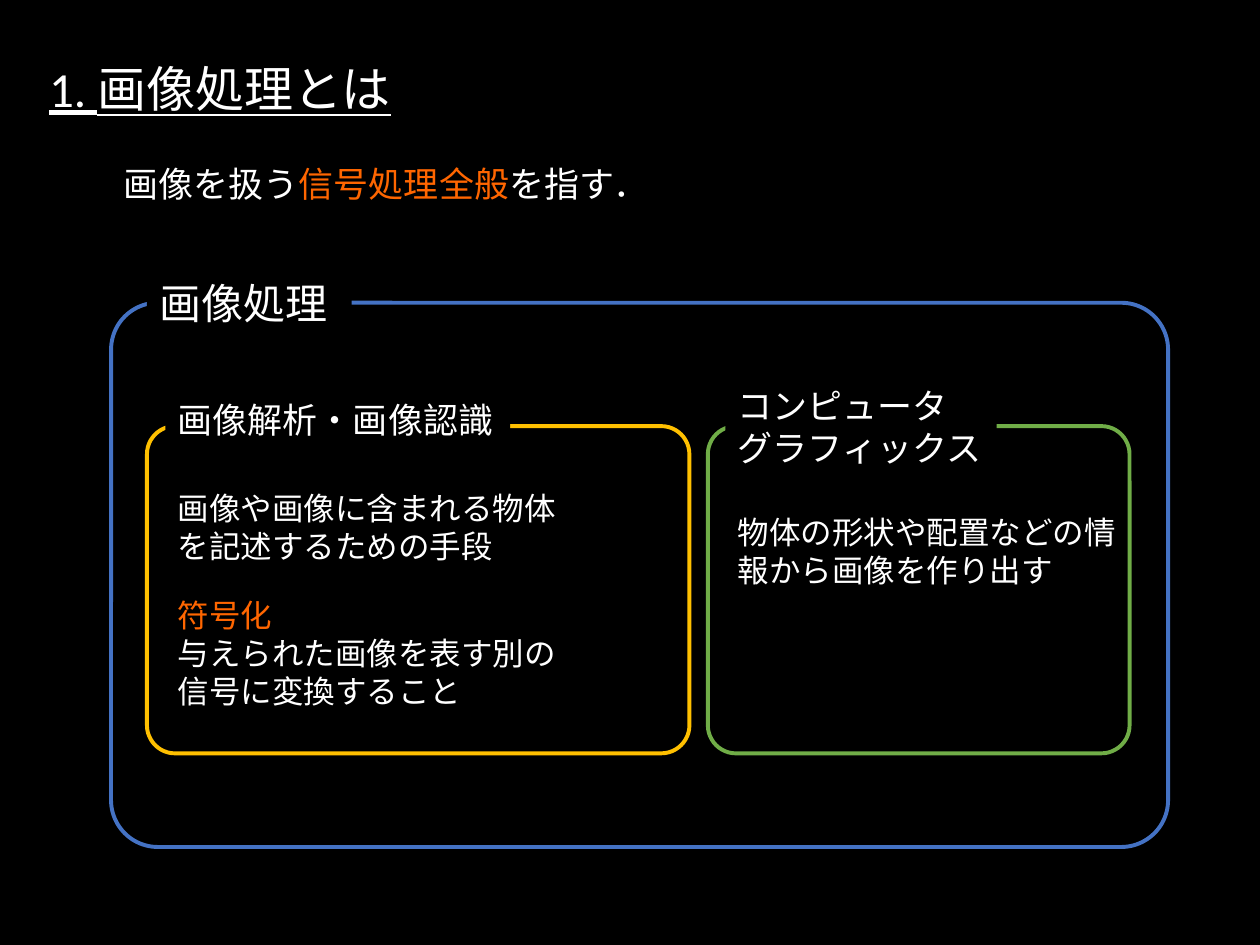
from dataclasses import dataclass

from pptx import Presentation
from pptx import util as u
from pptx.dml.color import RGBColor
from pptx.enum import shapes, text


@dataclass(frozen=True)
class Theme:
    font: str = "Calibri"
    back: str = "000000"
    ink: str = "FFFFFF"
    accent: str = "FF6600"
    blue: str = "4472C4"
    gold: str = "FFC000"
    green: str = "70AD47"
    title: int = 28
    head: int = 24
    lead: int = 20
    body: int = 18
    line: float = 2.25
    curve: float = 0.086


def rgb(code):
    return RGBColor.from_string(code)


def write(para, words, font, size, color, under=None):
    run = para.add_run()
    run.text = words
    run.font.name = font
    run.font.size = u.Pt(size)
    run.font.color.rgb = rgb(color)
    run.font.underline = under


class Deck:
    def __init__(self, theme):
        self.theme = theme
        self.prs = Presentation()
        self.prs.slide_width, self.prs.slide_height = u.Pt(720), u.Pt(540)
        self.slide = self.prs.slides.add_slide(self.prs.slide_layouts[6])
        fill = self.slide.background.fill
        fill.solid()
        fill.fore_color.rgb = rgb(theme.back)

    def shape(self, kind, box):
        item = self.slide.shapes.add_shape(kind, *map(u.Pt, box))
        item.shadow.inherit = False
        return item

    def fill_text(self, item, paras, size, under=None):
        frame = item.text_frame
        frame.word_wrap = True
        frame.auto_size = text.MSO_AUTO_SIZE.SHAPE_TO_FIT_TEXT
        frame.vertical_anchor = text.MSO_ANCHOR.TOP
        for i, runs in enumerate(paras):
            para = frame.add_paragraph() if i else frame.paragraphs[0]
            para.alignment = text.PP_ALIGN.LEFT
            for words, color in runs:
                write(para, words, font=self.theme.font, size=size,
                      color=color, under=under)

    def note(self, box, paras, size, under=None):
        item = self.slide.shapes.add_textbox(*map(u.Pt, box))
        self.fill_text(item, paras, size, under)

    def label(self, box, lines, size):
        item = self.shape(shapes.MSO_SHAPE.RECTANGLE, box)
        item.fill.solid()
        item.fill.fore_color.rgb = rgb(self.theme.back)
        item.line.fill.background()
        self.fill_text(item, [[(line, self.theme.ink)] for line in lines], size)

    def frame(self, box, color):
        item = self.shape(shapes.MSO_SHAPE.ROUNDED_RECTANGLE, box)
        item.adjustments[0] = self.theme.curve
        item.fill.background()
        item.line.color.rgb = rgb(color)
        item.line.width = u.Pt(self.theme.line)


def main():
    look = Theme()
    deck = Deck(look)
    ink, accent = look.ink, look.accent

    deck.note((21, 30, 222, 41), [[("1. 画像処理とは", ink)]], look.title, under=True)
    deck.note((63.5, 89.5, 297, 32),
              [[("画像を扱う", ink), ("信号処理全般", accent), ("を指す．", ink)]],
              look.lead)

    deck.frame((63.5, 173, 604, 311), look.blue)
    deck.label((84, 155, 117, 36), ["画像処理"], look.head)

    top, high = 243.5, 187
    deck.frame((84, top, 310, high), look.gold)
    deck.label((94.5, 224, 197, 32), ["画像解析・画像認識"], look.lead)
    deck.frame((404.5, top, 241, high), look.green)
    deck.label((414.5, 216, 155, 55.5), ["コンピュータ", "グラフィックス"], look.lead)

    deck.note((94.5, 276, 247, 51),
              [[("画像や画像に含まれる物体を記述するための手段", ink)]], look.body)
    deck.note((414.5, 289.5, 231, 51),
              [[("物体の形状や配置などの情報から画像を作り出す", ink)]], look.body)
    deck.note((94.5, 337, 247, 73),
              [[("符号化", accent)],
               [("与えられた画像を表す別の信号に変換すること", ink)]], look.body)

    deck.prs.save("out.pptx")


if __name__ == "__main__":
    main()
